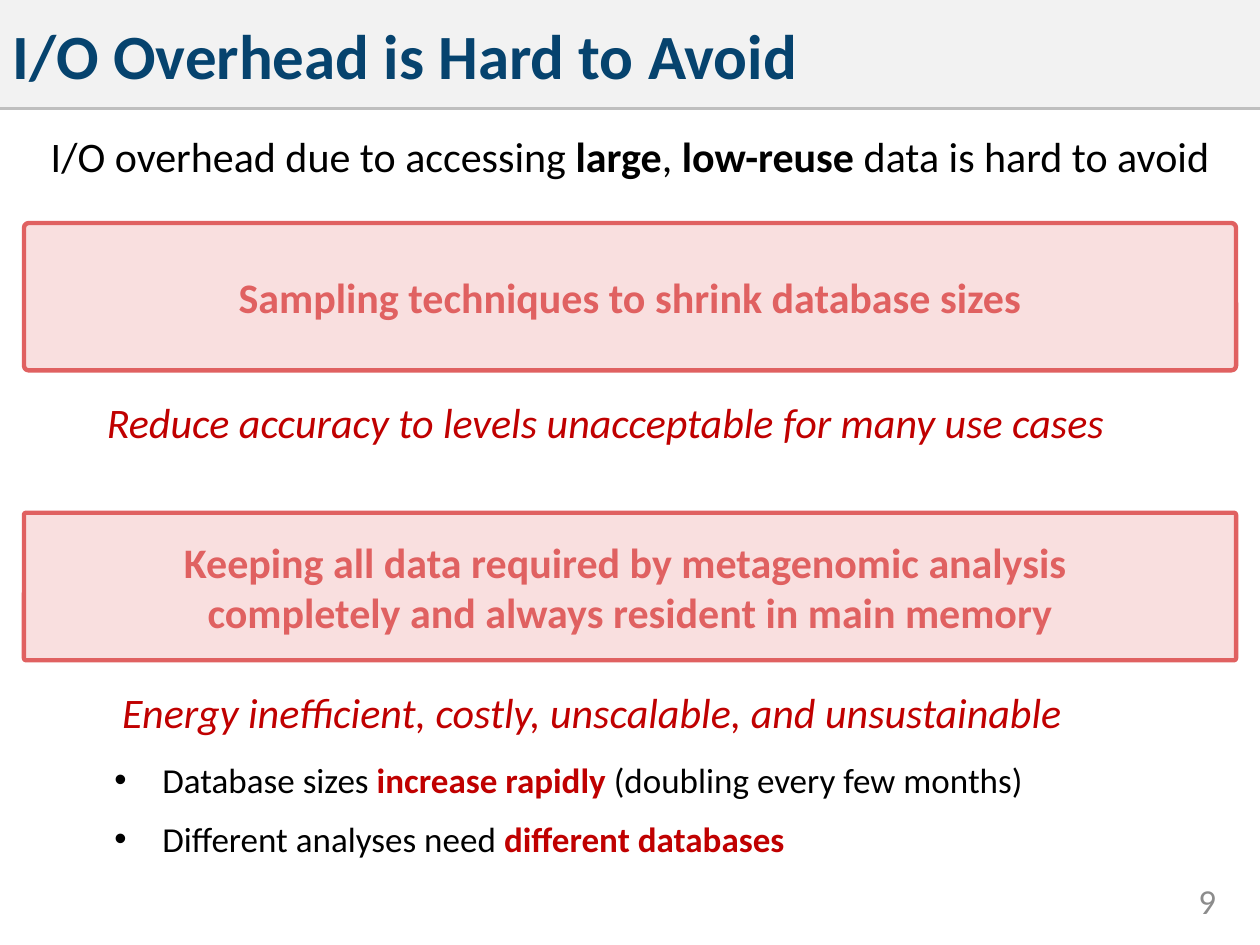
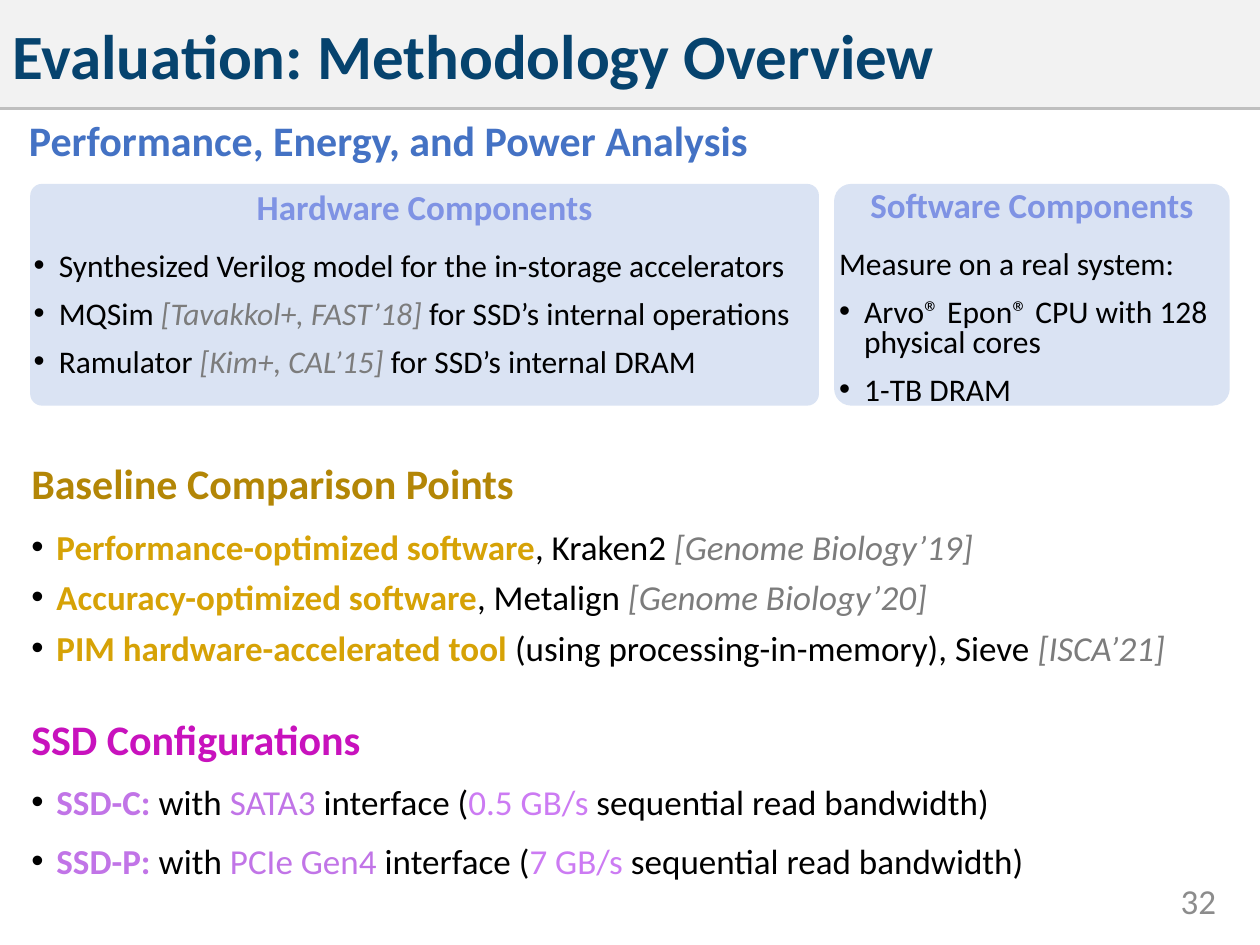
from dataclasses import dataclass
from typing import NamedTuple, Optional

from lxml import etree
from pptx import Presentation
from pptx import util as u
from pptx.dml import color
from pptx.enum import shapes, text
from pptx.oxml import ns

FONT = "Calibri"
BLACK = "000000"
NAVY = "06436E"
BAND = "F2F2F2"
RULE = "BFBFBF"
PAGE_GREY = "8C8C8C"
CITATION_GREY = "7C7C7C"
DARK_RED = "C00000"
CORAL = "E06161"
PALE_CORAL = "F9DFDF"
BLUE = "4472C4"
PERIWINKLE = "7F93E4"
PALE_BLUE = "DAE3F3"
DARK_GOLD = "B38606"
GOLD = "D6A206"
MAGENTA = "C812BD"
VIOLET = "C174E7"
LIGHT_VIOLET = "CC7BF3"

LEFT = text.PP_ALIGN.LEFT
CENTER = text.PP_ALIGN.CENTER
RIGHT = text.PP_ALIGN.RIGHT
TOP = text.MSO_ANCHOR.TOP
MIDDLE = text.MSO_ANCHOR.MIDDLE
BAND_HEIGHT = 0.86


class Run(NamedTuple):
    text: str
    color: str = BLACK
    bold: bool = False
    italic: bool = False


class Box(NamedTuple):
    left: float
    top: float
    width: float
    height: float


@dataclass
class Line:
    runs: list[Run]
    size: int
    after: float = 0
    spacing: float = 1.0
    align: text.PP_ALIGN = LEFT
    indent: float = 0
    bulleted: bool = False


@dataclass
class Card:
    box: Box
    radius: float
    fill: str
    lines: list[Line]
    outline: Optional[str] = None
    anchor: text.MSO_ANCHOR = MIDDLE
    side_inset: float = 0.1
    top_inset: float = 0.05


def rgb(value: str) -> color.RGBColor:
    return color.RGBColor.from_string(value)


def heading(words: str, tint: str, size: int = 24, **options) -> Line:
    return Line([Run(words, tint, bold=True)], size, **options)


def cite(words: str) -> Run:
    return Run(words, CITATION_GREY, italic=True)


def bullet(runs: list[Run], size: int, after: float, indent: float = 0.2, spacing: float = 1.0) -> Line:
    return Line(runs, size, after, spacing, indent=indent, bulleted=True)


def set_bullet(paragraph, line: Line) -> None:
    properties = paragraph._p.get_or_add_pPr()
    properties.set("marL", str(u.Inches(line.indent)))
    properties.set("indent", str(-u.Inches(line.indent)))
    if not line.bulleted:
        etree.SubElement(properties, ns.qn("a:buNone"))
        return
    bullet_color = etree.SubElement(properties, ns.qn("a:buClr"))
    etree.SubElement(bullet_color, ns.qn("a:srgbClr"), val=BLACK)
    etree.SubElement(properties, ns.qn("a:buFont"), typeface="Arial")
    etree.SubElement(properties, ns.qn("a:buChar"), char="•")


def write(shape, lines: list[Line], anchor=TOP, side_inset: float = 0.1, top_inset: float = 0.05) -> None:
    frame = shape.text_frame
    frame.word_wrap = True
    frame.auto_size = text.MSO_AUTO_SIZE.NONE
    frame.vertical_anchor = anchor
    frame.margin_left = frame.margin_right = u.Inches(side_inset)
    frame.margin_top = u.Inches(top_inset)
    frame.margin_bottom = u.Inches(0.05)
    for index, line in enumerate(lines):
        paragraph = frame.add_paragraph() if index else frame.paragraphs[0]
        set_bullet(paragraph, line)
        paragraph.alignment = line.align
        paragraph.line_spacing = line.spacing
        paragraph.space_before = u.Pt(0)
        paragraph.space_after = u.Pt(line.after)
        for part in line.runs:
            run = paragraph.add_run()
            run.text = part.text
            run.font.name = FONT
            run.font.size = u.Pt(line.size)
            run.font.bold = part.bold
            run.font.italic = part.italic
            run.font.color.rgb = rgb(part.color)


def place(shape, box: Box) -> None:
    shape.left, shape.top, shape.width, shape.height = map(u.Inches, box)


def add_text(slide, box: Box, lines: list[Line], anchor=TOP) -> None:
    write(slide.shapes.add_textbox(*map(u.Inches, box)), lines, anchor)


def add_card(slide, card: Card) -> None:
    shape = slide.shapes.add_shape(shapes.MSO_SHAPE.ROUNDED_RECTANGLE, *map(u.Inches, card.box))
    shape.adjustments[0] = card.radius
    shape.shadow.inherit = False
    shape.fill.solid()
    shape.fill.fore_color.rgb = rgb(card.fill)
    if card.outline:
        shape.line.color.rgb = rgb(card.outline)
        shape.line.width = u.Pt(2.5)
    else:
        shape.line.fill.background()
    write(shape, card.lines, card.anchor, card.side_inset, card.top_inset)


def add_slide(presentation, title: str, number: int, body_box: Box, body_line: Line):
    slide = presentation.slides.add_slide(presentation.slide_layouts[1])
    title_shape, body = slide.placeholders
    place(title_shape, Box(0, 0, 10, BAND_HEIGHT))
    title_shape.fill.solid()
    title_shape.fill.fore_color.rgb = rgb(BAND)
    write(title_shape, [heading(title, NAVY, 36, after=6)], MIDDLE)
    place(body, body_box)
    write(body, [body_line])
    rule = slide.shapes.add_connector(
        shapes.MSO_CONNECTOR.STRAIGHT, 0, u.Inches(BAND_HEIGHT), u.Inches(10), u.Inches(BAND_HEIGHT))
    rule.line.color.rgb = rgb(RULE)
    rule.line.width = u.Pt(2)
    etree.SubElement(rule._element.spPr, ns.qn("a:effectLst"))
    add_text(slide, Box(8.67, 6.95, 1.08, 0.4),
             [Line([Run(str(number), PAGE_GREY)], 20, align=RIGHT)], MIDDLE)
    return slide


def build_overhead(presentation) -> None:
    claim = Line([Run("I/O overhead due to accessing "), Run("large", bold=True), Run(", "),
                  Run("low-reuse", bold=True), Run(" data is hard to avoid")],
                 24, spacing=0.9, align=CENTER)
    slide = add_slide(presentation, "I/O Overhead is Hard to Avoid", 9, Box(0, 1.03, 10, 0.84), claim)
    approaches = [
        (1.77, 0.032, ["Sampling techniques to shrink database sizes"]),
        (4.07, 0.014, ["Keeping all data required by metagenomic analysis ",
                       "completely and always resident in main memory"]),
    ]
    for top, radius, words in approaches:
        lines = [heading(line, CORAL, align=CENTER) for line in words]
        add_card(slide, Card(Box(0.19, top, 9.62, 1.17), radius, PALE_CORAL, lines, CORAL))
    drawbacks = [
        (0.75, 3.1, "Reduce accuracy to levels unacceptable for many use cases"),
        (0.87, 5.4, "Energy inefficient, costly, unscalable, and unsustainable"),
    ]
    for left, top, words in drawbacks:
        add_text(slide, Box(left, top, 8.82, 0.5), [Line([Run(words, DARK_RED, italic=True)], 24)])
    add_text(slide, Box(0.81, 5.97, 9.08, 0.91), [
        bullet([Run("Database sizes "), Run("increase rapidly ", DARK_RED, bold=True),
                Run("(doubling every few months)")], 20, 10, 0.38),
        bullet([Run("Different analyses need "), Run("different databases", DARK_RED, bold=True)],
               20, 7, 0.38),
    ])


def add_components(slide, left: float, width: float, radius: float, title: str,
                   lines: list[Line], anchor, top_inset: float) -> None:
    title_line = heading(title, PERIWINKLE, 20, after=15, spacing=0.8, align=CENTER)
    add_card(slide, Card(Box(left, 1.46, width, 1.76), radius, PALE_BLUE, [title_line, *lines],
                         anchor=anchor, side_inset=0, top_inset=top_inset))


def component(*runs: Run, after: float = 10) -> Line:
    return bullet(list(runs), 18, after, spacing=0.8)


def build_methodology(presentation) -> None:
    slide = add_slide(presentation, "Evaluation: Methodology Overview", 32, Box(0.13, 0.86, 9.7, 0.68),
                      heading("Performance, Energy, and Power Analysis", BLUE, after=10))

    baselines = [
        ("Performance-optimized software", ", Kraken2 ", "[Genome Biology’19]"),
        ("Accuracy-optimized software", ", Metalign ", "[Genome Biology’20]"),
        ("PIM hardware-accelerated tool ", "(using processing-in-memory), Sieve ", "[ISCA’21]"),
    ]
    add_text(slide, Box(0.15, 3.58, 9.7, 1.76), [
        heading("Baseline Comparison Points", DARK_GOLD, after=10),
        *(bullet([Run(kind, GOLD, bold=True), Run(tool), cite(source)], 20, 5)
          for kind, tool, source in baselines),
    ])

    drives = [("SSD-C: ", "SATA3 ", "0.5 GB/s "), ("SSD-P: ", "PCIe Gen4 ", "7 GB/s ")]
    add_text(slide, Box(0.15, 5.53, 9.7, 1.76), [
        heading("SSD Configurations", MAGENTA, after=5, spacing=1.2),
        *(bullet([Run(drive, VIOLET, bold=True), Run("with "), Run(interface, VIOLET),
                  Run("interface ("), Run(bandwidth, LIGHT_VIOLET),
                  Run("sequential read bandwidth)")], 20, 5, spacing=1.2)
          for drive, interface, bandwidth in drives),
    ])

    add_components(slide, 0.24, 6.26, 0.053, "Hardware Components", [
        component(Run("Synthesized Verilog model for the in-storage accelerators")),
        component(Run("MQSim "), cite("[Tavakkol+, FAST’18] "), Run("for SSD’s internal operations")),
        component(Run("Ramulator "), cite("[Kim+, CAL’15] "), Run("for SSD’s internal DRAM"), after=3),
    ], TOP, 0.05)
    add_components(slide, 6.62, 3.14, 0.077, "Software Components", [
        Line([Run("Measure on a real system:")], 18, 10, 0.8),
        component(Run("Arvo® Epon® CPU with 128 physical cores")),
        component(Run("1-TB DRAM"), after=3),
    ], MIDDLE, 0.12)


def main() -> None:
    presentation = Presentation()
    presentation.slide_width = u.Inches(10)
    presentation.slide_height = u.Inches(7.5)
    build_overhead(presentation)
    build_methodology(presentation)
    presentation.save("out.pptx")


if __name__ == "__main__":
    main()
